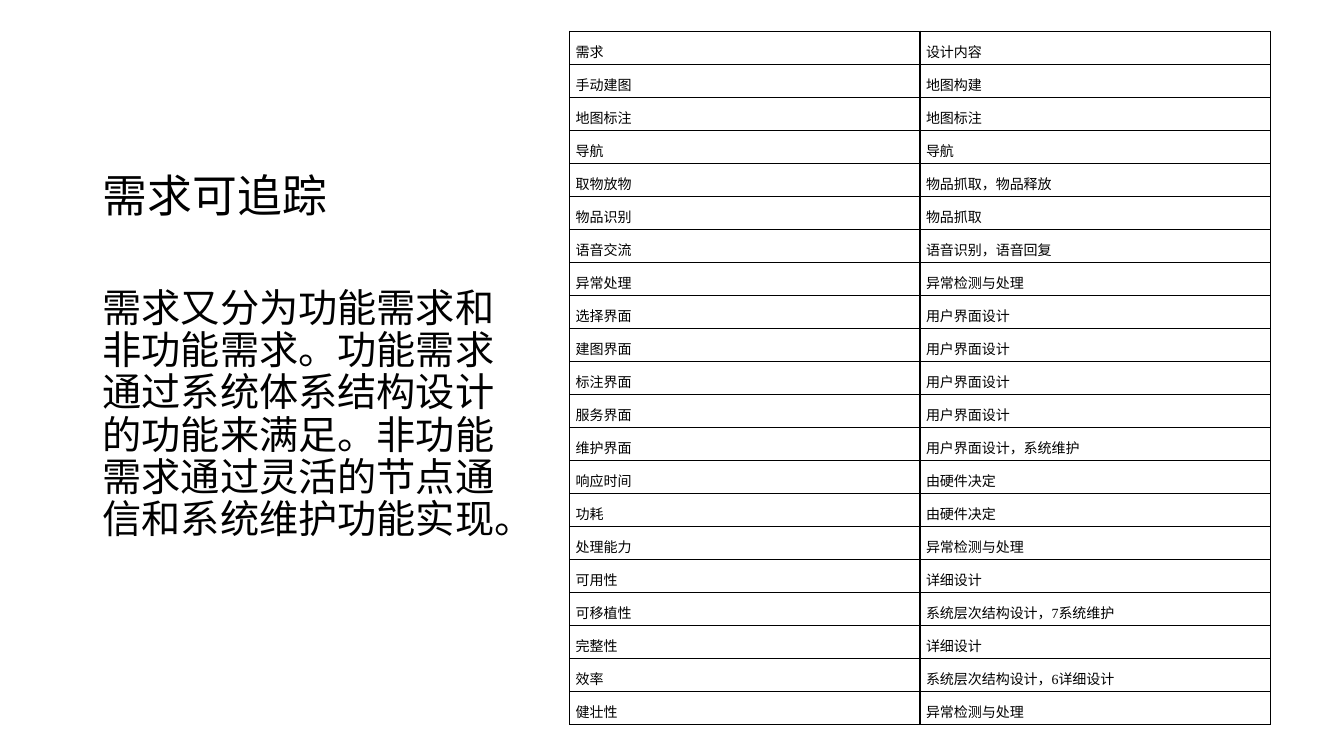
from dataclasses import dataclass
from typing import NamedTuple

from lxml.etree import SubElement
from pptx import Presentation
from pptx.dml.color import RGBColor
from pptx.enum.text import MSO_ANCHOR, PP_ALIGN
from pptx.oxml.ns import qn
from pptx.slide import Slide
from pptx.table import _Cell
from pptx.text.text import TextFrame
from pptx.util import Inches, Pt


@dataclass(frozen=True)
class Theme:
    ink: str = "000000"
    sans: str = "Noto Sans CJK SC"
    serif: str = "Times New Roman"
    title_size: int = 32
    body_size: int = 28
    table_size: int = 10
    border_width: int = 1


class Trace(NamedTuple):
    requirement: str
    design: str


THEME = Theme()
TITLE = "需求可追踪"
EXPLANATION = (
    "需求又分为功能需求和非功能需求。功能需求通过系统体系结构设计的功能来满足。"
    "非功能需求通过灵活的节点通信和系统维护功能实现。"
)
TRACES = [
    Trace("需求", "设计内容"),
    Trace("手动建图", "地图构建"),
    Trace("地图标注", "地图标注"),
    Trace("导航", "导航"),
    Trace("取物放物", "物品抓取，物品释放"),
    Trace("物品识别", "物品抓取"),
    Trace("语音交流", "语音识别，语音回复"),
    Trace("异常处理", "异常检测与处理"),
    Trace("选择界面", "用户界面设计"),
    Trace("建图界面", "用户界面设计"),
    Trace("标注界面", "用户界面设计"),
    Trace("服务界面", "用户界面设计"),
    Trace("维护界面", "用户界面设计，系统维护"),
    Trace("响应时间", "由硬件决定"),
    Trace("功耗", "由硬件决定"),
    Trace("处理能力", "异常检测与处理"),
    Trace("可用性", "详细设计"),
    Trace("可移植性", "系统层次结构设计，7系统维护"),
    Trace("完整性", "详细设计"),
    Trace("效率", "系统层次结构设计，6详细设计"),
    Trace("健壮性", "异常检测与处理"),
]


def write_text(frame: TextFrame, text: str, size: int, latin: str,
               spacing: float, alignment: PP_ALIGN) -> None:
    paragraph = frame.paragraphs[0]
    paragraph.alignment = alignment
    paragraph.line_spacing = spacing
    paragraph.space_before = Pt(0)
    run = paragraph.add_run()
    run.text = text
    run.font.size = Pt(size)
    run.font.name = latin
    run.font.color.rgb = RGBColor.from_string(THEME.ink)
    # East Asian glyphs use their own typeface
    SubElement(run.font._element, qn("a:ea"), typeface=THEME.sans)


def add_title(slide: Slide) -> None:
    title = slide.shapes.title
    title.left, title.top = Inches(0.92), Inches(0.5)
    title.width, title.height = Inches(4.3), Inches(1.75)
    frame = title.text_frame
    frame.word_wrap = True
    frame.vertical_anchor = MSO_ANCHOR.BOTTOM
    write_text(frame, TITLE, THEME.title_size, THEME.sans, 0.9, PP_ALIGN.LEFT)


def add_explanation(slide: Slide) -> None:
    box = slide.shapes.add_textbox(Inches(0.92), Inches(2.25), Inches(4.3), Inches(5.18))
    frame = box.text_frame
    frame.word_wrap = True
    frame.margin_top = Inches(0.61)
    write_text(frame, EXPLANATION, THEME.body_size, THEME.sans, 0.9, PP_ALIGN.LEFT)


def draw_borders(cell: _Cell) -> None:
    properties = cell._tc.get_or_add_tcPr()
    for side in ("lnL", "lnR", "lnT", "lnB"):
        line = SubElement(properties, qn(f"a:{side}"), w=str(Pt(THEME.border_width)))
        fill = SubElement(line, qn("a:solidFill"))
        SubElement(fill, qn("a:srgbClr"), val=THEME.ink)


def add_trace_table(slide: Slide) -> None:
    width, height = Inches(6.95), Inches(6.88)
    columns = len(Trace._fields)
    table = slide.shapes.add_table(
        len(TRACES), columns, Inches(5.65), Inches(0.31), width, height
    ).table
    table.first_row = table.horz_banding = False
    for column in table.columns:
        column.width = width // columns
    for row, trace in zip(table.rows, TRACES):
        row.height = height // len(TRACES)
        for cell, text in zip(row.cells, trace):
            cell.margin_left = cell.margin_right = Inches(0.06)
            cell.margin_top = cell.margin_bottom = 0
            draw_borders(cell)
            cell.fill.background()
            write_text(cell.text_frame, text, THEME.table_size, THEME.serif,
                       1.5, PP_ALIGN.JUSTIFY)


def main() -> None:
    presentation = Presentation()
    presentation.slide_width, presentation.slide_height = Inches(13.33), Inches(7.5)
    title_only = presentation.slide_layouts[5]
    slide = presentation.slides.add_slide(title_only)
    # Left column
    add_title(slide)
    add_explanation(slide)
    # Right column
    add_trace_table(slide)
    presentation.save("out.pptx")


if __name__ == "__main__":
    main()
